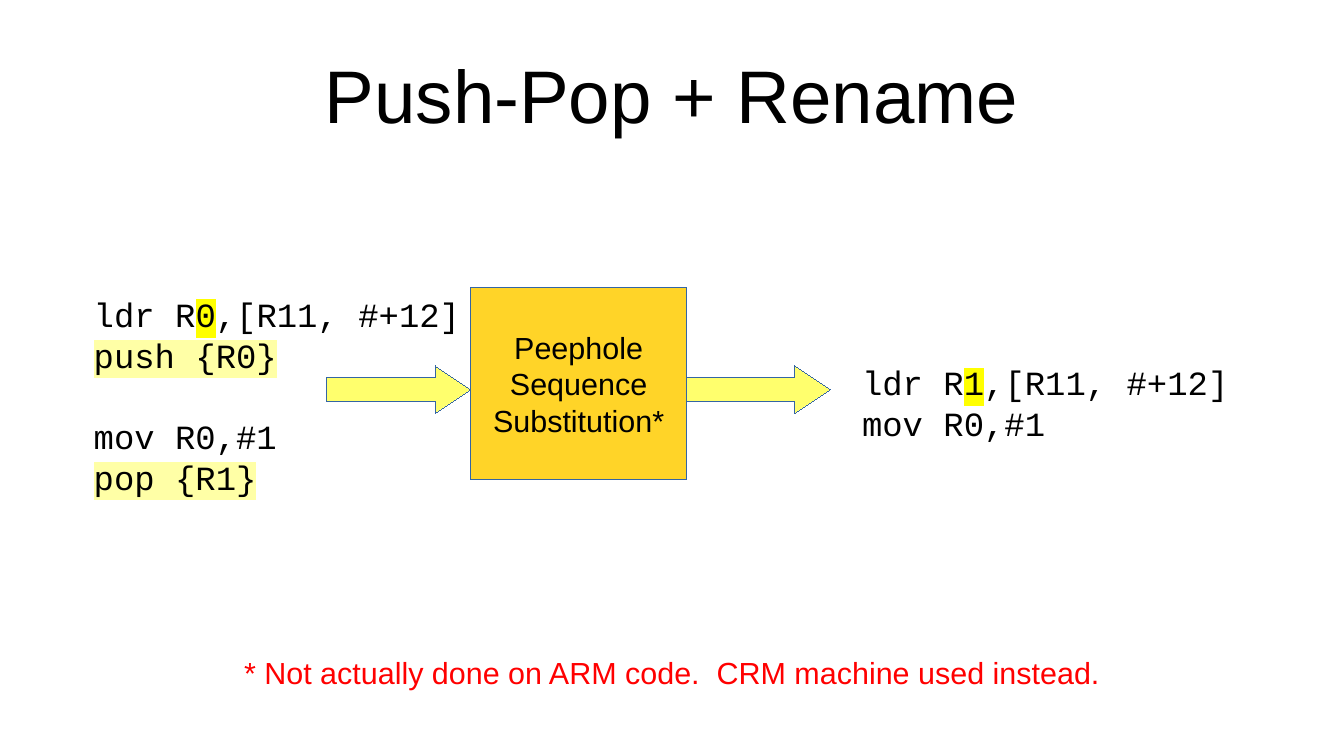
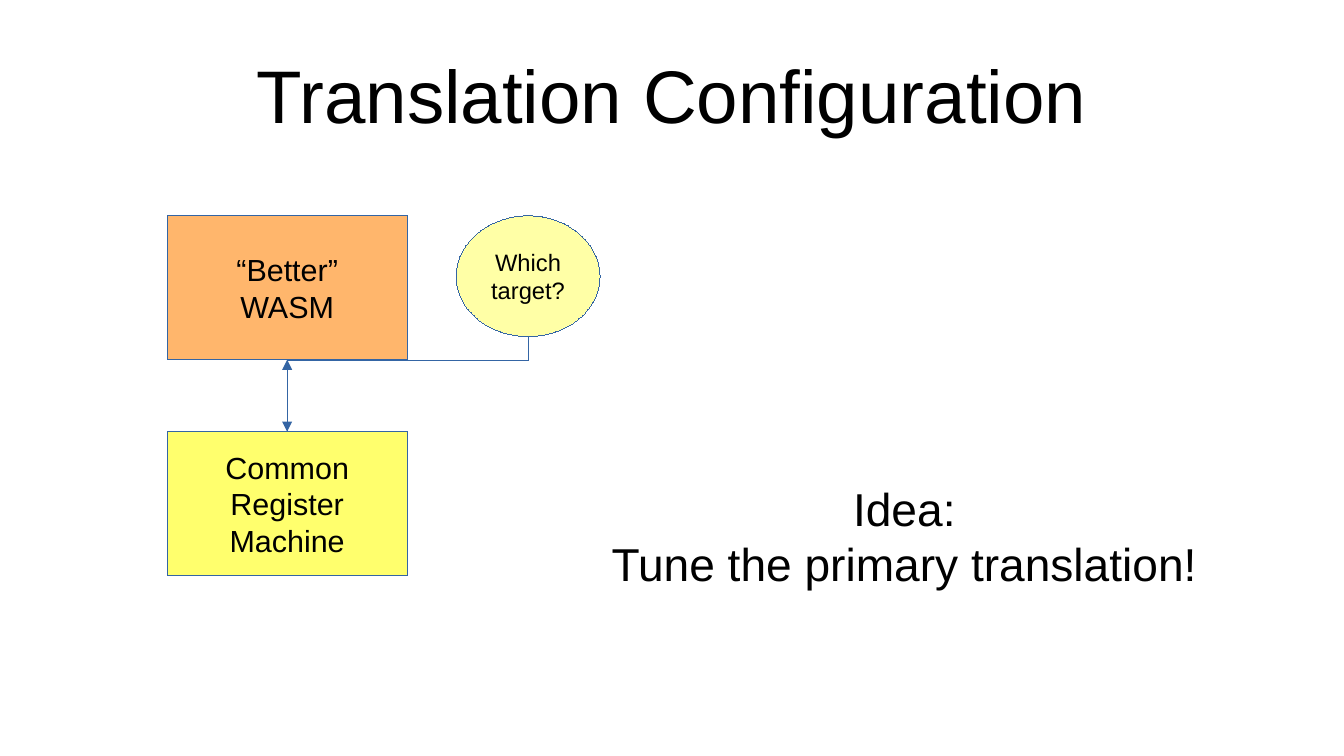
"""Build two slides on peephole substitution and translation targets."""
from lxml.etree import SubElement
from pptx import Presentation
from pptx.dml.color import RGBColor
from pptx.enum.shapes import MSO_CONNECTOR as CONN, MSO_SHAPE as SHAPE
from pptx.enum.text import MSO_ANCHOR as ANCHOR, PP_ALIGN as ALIGN
from pptx.oxml.ns import qn
from pptx.util import Inches, Pt

BLACK = RGBColor(0x00, 0x00, 0x00)
RED = RGBColor(0xFF, 0x00, 0x00)
BLUE = RGBColor(0x34, 0x65, 0xA4)
GOLD = RGBColor(0xFF, 0xD4, 0x28)
ORANGE = RGBColor(0xFF, 0xB6, 0x6C)
YELLOW = RGBColor(0xFF, 0xFF, 0x6D)
PALE = RGBColor(0xFF, 0xFF, 0xA6)
BRIGHT = RGBColor(0xFF, 0xFF, 0x00)

SANS, MONO = "Arial", "Courier New"
PAD = (0.1, 0.05)
CODE_LINE = 24

BEFORE = [
    [("ldr R", None), ("0", BRIGHT), (",[R11, #+12]", None)],
    [("push {R0}", PALE)],
    [("mov R0,#1", None)],
    [("pop {R1}", PALE)],
]
AFTER = [
    [("ldr R", None), ("1", BRIGHT), (",[R11, #+12]", None)],
    [("mov R0,#1", None)],
]
CODE = [((0.67, 2.36, 3.46, 2.04), BEFORE, 2), ((6.97, 2.92, 3.46, 1.39), AFTER, None)]
FOOTNOTE = "* Not actually done on ARM code.  CRM machine used instead."
IDEA = "Idea:\nTune the primary translation!"

PEEPHOLE = (3.86, 2.36, 1.77, 1.57)
ARROW_W, ARROW_H, ARROW_TOP = 1.18, 0.39, 3
STAGE_LEFT, STAGE_W, STAGE_H, STAGE_TOP = 1.37, 1.97, 1.18, 1.77
STAGES = [("“Better”\nWASM", ORANGE), ("Common\nRegister\nMachine", YELLOW)]
TARGET = (3.74, STAGE_TOP, 1.18, 0.99)


def inches(box):
    return [Inches(v) for v in box]


def style_run(r, size, font=SANS, color=BLACK, mark=None):
    for name, value in {"size": Pt(size), "name": font}.items():
        setattr(r.font, name, value)
    r.font.color.rgb = color
    if mark is not None:
        rpr = r.font.fill._xPr
        hl = SubElement(rpr, qn("a:highlight"))
        SubElement(hl, qn("a:srgbClr")).set("val", str(mark))
        rpr.find(qn("a:solidFill")).addnext(hl)


def set_frame(tf, pad=PAD, anchor=ANCHOR.MIDDLE, wrap=False):
    x, y = inches(pad)
    frame = {"margin_left": x, "margin_right": x, "margin_top": y,
             "margin_bottom": y, "vertical_anchor": anchor, "word_wrap": wrap}
    for name, value in frame.items():
        setattr(tf, name, value)


def write(sp, text, size, color=BLACK, **frame):
    tf = sp.text_frame
    set_frame(tf, **frame)
    p = tf.paragraphs[0]
    p.text = text
    p.alignment = ALIGN.CENTER
    for r in p.runs:
        style_run(r, size, color=color)


def add_text(s, box, text, size, **kw):
    write(s.shapes.add_textbox(*inches(box)), text, size, **kw)


def add_code(s, box, lines, gap_before):
    tf = s.shapes.add_textbox(*inches(box)).text_frame
    set_frame(tf, anchor=ANCHOR.TOP, wrap=True)
    for i, parts in enumerate(lines):
        p = tf.add_paragraph() if i else tf.paragraphs[0]
        p.line_spacing = Pt(CODE_LINE)
        if i == gap_before:
            p.space_before = Pt(CODE_LINE)
        for text, mark in parts:
            r = p.add_run()
            r.text = text
            style_run(r, 20, font=MONO, mark=mark)


def set_hairline(sp):
    sp.line.color.rgb = BLUE
    ln = sp.line._get_or_add_ln()
    ln.set("w", "0")
    return ln


def add_box(s, kind, box, fill, text="", size=18):
    sp = s.shapes.add_shape(kind, *inches(box))
    sp.shadow.inherit = False
    sp.fill.solid()
    sp.fill.fore_color.rgb = fill
    set_hairline(sp)
    if text:
        write(sp, text, size)
    return sp


def add_arrow(s, kind, start, end):
    cx = s.shapes.add_connector(kind, *inches(start + end))
    SubElement(set_hairline(cx), qn("a:tailEnd")).set("type", "triangle")
    SubElement(cx._element.spPr, qn("a:effectLst"))
    return cx


def add_drop_arrow(s, start, end, bend):
    (x1, y1), (x2, y2) = start, end
    w, h = y2 - y1, x1 - x2
    cx = add_arrow(s, CONN.ELBOW, start, end)
    frame = {"left": (x1 + x2 - w) / 2, "top": (y1 + y2 - h) / 2, "width": w, "height": h}
    for name, value in frame.items():
        setattr(cx, name, Inches(value))
    xfrm = cx._element.spPr.find(qn("a:xfrm"))
    xfrm.attrib.pop("flipH", None)
    xfrm.set("rot", str(90 * 60000))
    geom = cx._element.spPr.find(qn("a:prstGeom"))
    av = geom.find(qn("a:avLst"))
    if av is None:
        av = SubElement(geom, qn("a:avLst"))
    gd = SubElement(av, qn("a:gd"))
    gd.set("name", "adj1")
    gd.set("fmla", f"val {round((bend - y1) / w * 100000)}")


def add_slide(prs, title):
    s = prs.slides.add_slide(prs.slide_layouts[6])
    add_text(s, (0.55, 0.25, 9.92, 1.04), title, 44, pad=(0, 0), wrap=True)
    return s


def build_rename(prs):
    s = add_slide(prs, "Push-Pop + Rename")
    for box, lines, gap_before in CODE:
        add_code(s, box, lines, gap_before)
    left, _, width, _ = PEEPHOLE
    add_box(s, SHAPE.RECTANGLE, PEEPHOLE, GOLD, "Peephole\nSequence\nSubstitution*")
    for x in (left - ARROW_W, left + width):
        sp = add_box(s, SHAPE.RIGHT_ARROW, (x, ARROW_TOP, ARROW_W, ARROW_H), YELLOW)
        sp.adjustments[1] = 0.75
    add_text(s, (1.76, 5.32, 7.5, 0.39), FOOTNOTE, 18, color=RED)


def build_configuration(prs):
    s = add_slide(prs, "Translation Configuration")
    tops = [STAGE_TOP + i * 1.5 * STAGE_H for i in range(len(STAGES))]
    wasm, machine = [
        add_box(s, SHAPE.RECTANGLE, (STAGE_LEFT, top, STAGE_W, STAGE_H), fill, text)
        for top, (text, fill) in zip(tops, STAGES)]
    mid, wasm_bottom = STAGE_LEFT + STAGE_W / 2, tops[0] + STAGE_H
    up = add_arrow(s, CONN.STRAIGHT, (mid, tops[1]), (mid, wasm_bottom))
    up.begin_connect(machine, 0)
    up.end_connect(wasm, 2)
    add_box(s, SHAPE.OVAL, TARGET, PALE, "Which\ntarget?", 14)
    x, y, w, h = TARGET
    add_drop_arrow(s, (x + w / 2, y + h), (mid, tops[1]), wasm_bottom)
    add_text(s, (4.99, 3.94, 4.85, 0.79), IDEA, 27.2, pad=(0, 0), anchor=ANCHOR.TOP)


def main():
    prs = Presentation()
    prs.slide_width, prs.slide_height = Inches(11.02), Inches(6.2)
    build_rename(prs)
    build_configuration(prs)
    prs.save("out.pptx")


if __name__ == "__main__":
    main()
